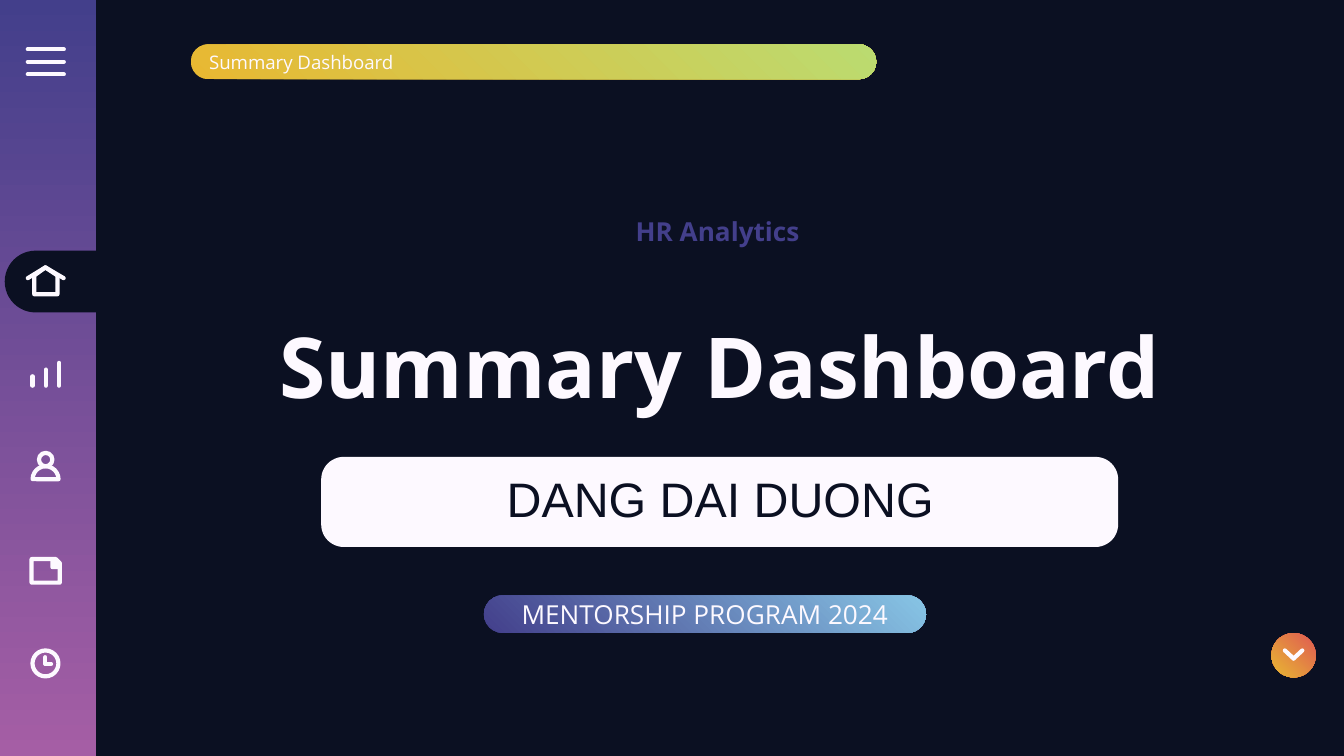
from dataclasses import dataclass
from lxml import etree
from pptx import Presentation
from pptx.dml.color import RGBColor
from pptx.enum.shapes import MSO_CONNECTOR, MSO_SHAPE
from pptx.enum.text import MSO_ANCHOR, PP_ALIGN
from pptx.oxml.ns import qn
from pptx.util import Inches, Pt

RECT = MSO_SHAPE.RECTANGLE
ROUND = MSO_SHAPE.ROUNDED_RECTANGLE
TAB = MSO_SHAPE.ROUND_2_SAME_RECTANGLE
OVAL = MSO_SHAPE.OVAL
PIE = MSO_SHAPE.PIE
SNIP = MSO_SHAPE.SNIP_1_RECTANGLE
STRAIGHT = MSO_CONNECTOR.STRAIGHT
MID, TOP = MSO_ANCHOR.MIDDLE, MSO_ANCHOR.TOP
LEFT, CENTER = PP_ALIGN.LEFT, PP_ALIGN.CENTER

COLS, ROWS = 100, 56.25
SPINE = 3.38


@dataclass(frozen=True)
class Theme:
    night: str = "0B1022"
    white: str = "FDF9FF"
    violet: tuple = ("433F8B", "A55EA5")
    gold: tuple = ("E8B832", "BBDB70")
    blue: tuple = ("433F8B", "87C5E5")
    ember: tuple = ("DF5953", "E8B832")
    sans: str = "Open Sans"
    plain: str = "Arial"
    title: float = 45
    name: float = 25.9
    label: float = 14
    small: float = 10
    stroke: float = 2.25


THEME = Theme()


def cell(count):
    return Inches(count / 10)


def paint(fill, color, angle=0):
    if color is None:
        fill.background()
    elif isinstance(color, tuple):
        fill.gradient()
        fill.gradient_angle = angle
        for stop, tone in zip(fill.gradient_stops, color):
            stop.color.rgb = RGBColor.from_string(tone)
    else:
        fill.solid()
        fill.fore_color.rgb = RGBColor.from_string(color)


def ink(item):
    item.line.width = Pt(THEME.stroke)
    paint(item.line.fill, THEME.white)
    edge = item._element.spPr.find(qn("a:ln"))
    edge.set("cap", "rnd")
    etree.SubElement(edge, qn("a:round"))


def shape(parent, kind, box, color=None, angle=0, adjust=(), turn=0):
    item = parent.add_shape(kind, *map(cell, box))
    item.shadow.inherit = False
    item.rotation = turn
    for index, value in enumerate(adjust):
        item.adjustments[index] = value
    paint(item.fill, color, angle)
    item.line.fill.background()
    return item


def outline(parent, kind, box, adjust=(), turn=0):
    ink(shape(parent, kind, box, adjust=adjust, turn=turn))


def stroke(parent, start, end):
    item = parent.add_connector(STRAIGHT, *map(cell, start + end))
    ink(item)
    etree.SubElement(item._element.spPr, qn("a:effectLst"))


def trace(parent, points, color=None):
    spots = [tuple(map(cell, point)) for point in points]
    path = parent.build_freeform(*spots[0])
    path.add_line_segments(spots[1:], close=True)
    item = path.convert_to_shape()
    item.shadow.inherit = False
    paint(item.fill, color)
    ink(item)


def write(item, text, size, color, font=THEME.sans, bold=False,
          align=CENTER, anchor=MID, pad=1, space=None):
    frame = item.text_frame
    frame.word_wrap = True
    frame.vertical_anchor = anchor
    frame.margin_left = frame.margin_right = cell(1)
    frame.margin_top = frame.margin_bottom = cell(pad)
    para = frame.paragraphs[0]
    para.alignment = align
    para.line_spacing = space
    run = para.add_run()
    run.text = text
    run.font.size = Pt(size)
    run.font.name = font
    run.font.bold = bold
    paint(run.font.fill, color)


def label(parent, box, *args, **style):
    write(parent.add_textbox(*map(cell, box)), *args, **style)


def menu(group):
    for row in range(3):
        y = 3.67 + 0.93 * row
        stroke(group, (2.07, y), (4.75, y))


def home(group):
    for x in (2.07, 4.74):
        stroke(group, (x, 20.7), (SPINE, 19.9))
    trace(group, [(2.55, 20.5), (2.55, 21.9), (4.27, 21.9),
                  (4.27, 20.5), (SPINE, 19.9)])


def bars(group):
    for col in range(3):
        x = 2.42 + 0.99 * col
        stroke(group, (x, 28 - 0.5 * col), (x, 28.7))


def person(group):
    outline(group, OVAL, (2.9, 33.7, 1, 1))
    outline(group, PIE, (2.42, 34.7, 1.93, 1.93), (54.33, 162), 90)


def note(group):
    outline(group, SNIP, (2.35, 41.6, 2.1, 1.75), (0.17,))
    trace(group, [(3.9, 41.7), (4.2, 41.7), (4.4, 42),
                  (4.4, 42.2), (3.9, 42.2)], THEME.white)


def clock(group):
    outline(group, OVAL, (2.42, 48.4, 1.93, 1.93))
    for end in ((SPINE, 48.9), (3.8, 49.4)):
        stroke(group, end, (SPINE, 49.4))


def arrow(group):
    for x in (95.6, 96.9):
        stroke(group, (96.25, 49), (x, 48.4))


def main():
    deck = Presentation()
    deck.slide_width, deck.slide_height = cell(COLS), cell(ROWS)
    slide = deck.slides.add_slide(deck.slide_layouts[6])
    paint(slide.background.fill, THEME.night)
    parent = slide.shapes

    shape(parent, RECT, (0, 0, 7.14, ROWS), THEME.violet, 270)
    shape(parent, ROUND, (23.9, 34, 59.3, 6.7), THEME.white, adjust=(0.25,))
    shape(parent, TAB, (1.65, 17.35, 4.6, 7.2), THEME.night,
          adjust=(0.5, 0), turn=270)
    label(parent, (19.7, 22.5, 67.7, 9.3), "Summary Dashboard",
          THEME.title, THEME.white, bold=True)
    label(parent, (25.1, 34.7, 57, 5.5), "DANG DAI DUONG",
          THEME.name, THEME.night, font=THEME.plain, space=0.8)

    head = shape(parent, ROUND, (14.2, 3.3, 51, 2.6), THEME.gold, 45, (0.5,))
    write(head, "Summary Dashboard", THEME.small, THEME.white, align=LEFT)
    badge = shape(parent, ROUND, (36, 44.3, 32.9, 2.8), THEME.blue, 45, (0.5,))
    write(badge, "MENTORSHIP PROGRAM 2024", THEME.label, THEME.white)
    shape(parent, OVAL, (94.6, 47.1, 3.3, 3.3), THEME.ember, 45, turn=180)

    for draw in (menu, home, bars, person, note, clock, arrow):
        draw(parent.add_group_shape().shapes)
    label(parent, (28.5, 15.5, 49.8, 7), "HR Analytics", THEME.label,
          THEME.violet, bold=True, anchor=TOP, pad=0.5)
    deck.save("out.pptx")


if __name__ == "__main__":
    main()
